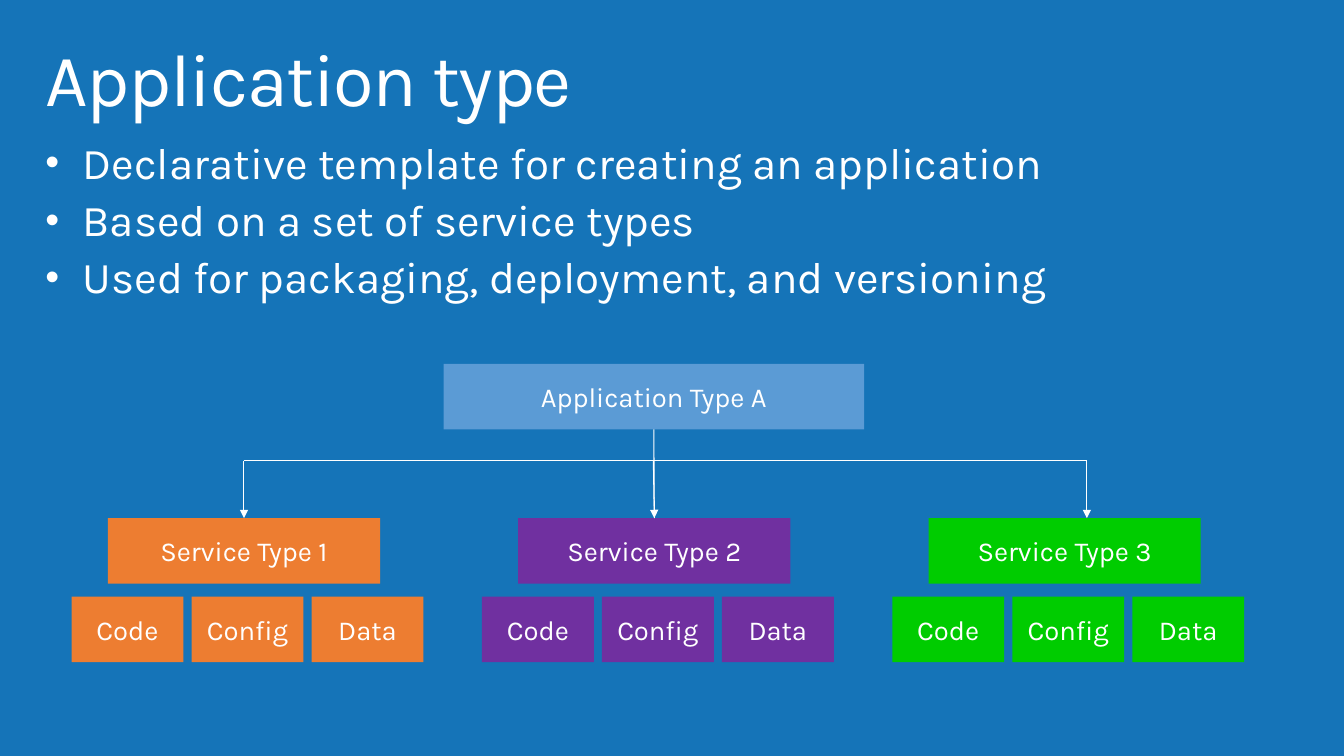
import pptx
import pptx.dml.color
import pptx.enum.shapes
import pptx.enum.text
import pptx.oxml.ns
import pptx.util
from lxml import etree

RGBColor = pptx.dml.color.RGBColor
Inches = pptx.util.Inches
Pt = pptx.util.Pt
qn = pptx.oxml.ns.qn
ALIGN = pptx.enum.text.PP_ALIGN
ANCHOR = pptx.enum.text.MSO_ANCHOR

BACKGROUND = RGBColor(0x15, 0x74, 0xB8)
WHITE = RGBColor(0xFF, 0xFF, 0xFF)
LIGHT_BLUE = RGBColor(0x5B, 0x9B, 0xD5)
ORANGE = RGBColor(0xED, 0x7D, 0x31)
PURPLE = RGBColor(0x70, 0x30, 0xA0)
GREEN = RGBColor(0x00, 0xCC, 0x00)

# Grid, in inches
COLUMN_STEP = 4.07
SERVICE_LEFT, SERVICE_TOP, SERVICE_WIDTH = 1.07, 5.14, 2.7
PART_LEFT, PART_TOP, PART_WIDTH, PART_STEP = 0.71, 5.92, 1.11, 1.19
BOX_HEIGHT = 0.65
RAIL_TOP, RAIL_LEFT, RAIL_RIGHT = 4.57, 2.42, 10.78

presentation = pptx.Presentation()
presentation.slide_width = Inches(13.33)
presentation.slide_height = Inches(7.5)
slide = presentation.slides.add_slide(presentation.slide_layouts[6])
slide.background.fill.solid()
slide.background.fill.fore_color.rgb = BACKGROUND


def add_text(text, left, top, width, height, size=19.6, fill=None, bullet=None,
             spacing=None, line_spacing=None, insets=(0, 0.05)):
    """Add a filled, centred box, or a plain left-aligned text box without fill."""
    area = [Inches(length) for length in (left, top, width, height)]
    if fill is None:
        shape = slide.shapes.add_textbox(*area)
    else:
        shape = slide.shapes.add_shape(pptx.enum.shapes.MSO_SHAPE.RECTANGLE, *area)
        shape.shadow.inherit = False
        shape.fill.solid()
        shape.fill.fore_color.rgb = fill
        shape.line.fill.background()
    frame = shape.text_frame
    frame.word_wrap = True
    frame.margin_left = frame.margin_right = Inches(insets[0])
    frame.margin_top = frame.margin_bottom = Inches(insets[1])
    frame.vertical_anchor = ANCHOR.TOP if fill is None else ANCHOR.MIDDLE
    for index, line in enumerate(text.split("\n")):
        paragraph = frame.paragraphs[0] if index == 0 else frame.add_paragraph()
        if bullet:
            properties = paragraph._p.get_or_add_pPr()
            properties.set("marL", str(Inches(0.37)))
            properties.set("indent", str(-Inches(0.37)))
            etree.SubElement(properties, qn("a:buSzPct")).set("val", "90000")
            etree.SubElement(properties, qn("a:buFont")).set("typeface", "Arial")
            etree.SubElement(properties, qn("a:buChar")).set("char", bullet)
            if index:
                paragraph.space_before = Pt(7)
        paragraph.alignment = ALIGN.LEFT if fill is None else ALIGN.CENTER
        if line_spacing:
            paragraph.line_spacing = line_spacing
        run = paragraph.add_run()
        run.text = line
        run.font.name = "Karla"
        run.font.size = Pt(size)
        run.font.color.rgb = WHITE
        if spacing:
            run._r.get_or_add_rPr().set("spc", str(spacing))
    return shape


def add_line(x1, y1, x2, y2, arrow=False):
    line = slide.shapes.add_connector(
        pptx.enum.shapes.MSO_CONNECTOR.STRAIGHT,
        Inches(x1), Inches(y1), Inches(x2), Inches(y2))
    line.line.color.rgb = WHITE
    line.line.width = Pt(0.75)
    if arrow:
        etree.SubElement(line.line._get_or_add_ln(), qn("a:tailEnd")).set("type", "triangle")
    etree.SubElement(line._element.spPr, qn("a:effectLst"))
    return line


# Title and bullets
add_text("Application type", 0.29, 0.32, 12.62, 0.98, size=52.9,
         spacing=-100, line_spacing=0.9, insets=(0.16, 0.1))
bullets = add_text(
    "Declarative template for creating an application\n"
    "Based on a set of service types\n"
    "Used for packaging, deployment, and versioning",
    0.29, 1.3, 12.74, 1.83, size=31.4, bullet="•", line_spacing=0.9, insets=(0.16, 0.1))
bullets.text_frame.auto_size = pptx.enum.text.MSO_AUTO_SIZE.SHAPE_TO_FIT_TEXT

# Application box
application = add_text("Application Type A", 4.4, 3.61, 4.17, BOX_HEIGHT, fill=LIGHT_BLUE)

# Service types, each above its three parts
services = []
for column, color in enumerate((ORANGE, PURPLE, GREEN)):
    offset = column * COLUMN_STEP
    services.append(add_text(f"Service Type {column + 1}", SERVICE_LEFT + offset, SERVICE_TOP,
                             SERVICE_WIDTH, BOX_HEIGHT, fill=color))
    for index, part in enumerate(("Code", "Config", "Data")):
        add_text(part, PART_LEFT + offset + index * PART_STEP, PART_TOP,
                 PART_WIDTH, BOX_HEIGHT, fill=color)

# Connecting tree
add_line(RAIL_LEFT, RAIL_TOP, RAIL_RIGHT, RAIL_TOP)
trunk = add_line(6.48, 4.26, 6.49, SERVICE_TOP)
trunk.begin_connect(application, 2)
trunk.end_connect(services[1], 0)
for x, service in zip((RAIL_LEFT, 6.48), services):
    add_line(x, RAIL_TOP, x, SERVICE_TOP, arrow=True).end_connect(service, 0)
add_line(RAIL_RIGHT, RAIL_TOP, RAIL_RIGHT, SERVICE_TOP, arrow=True)

presentation.save("out.pptx")
